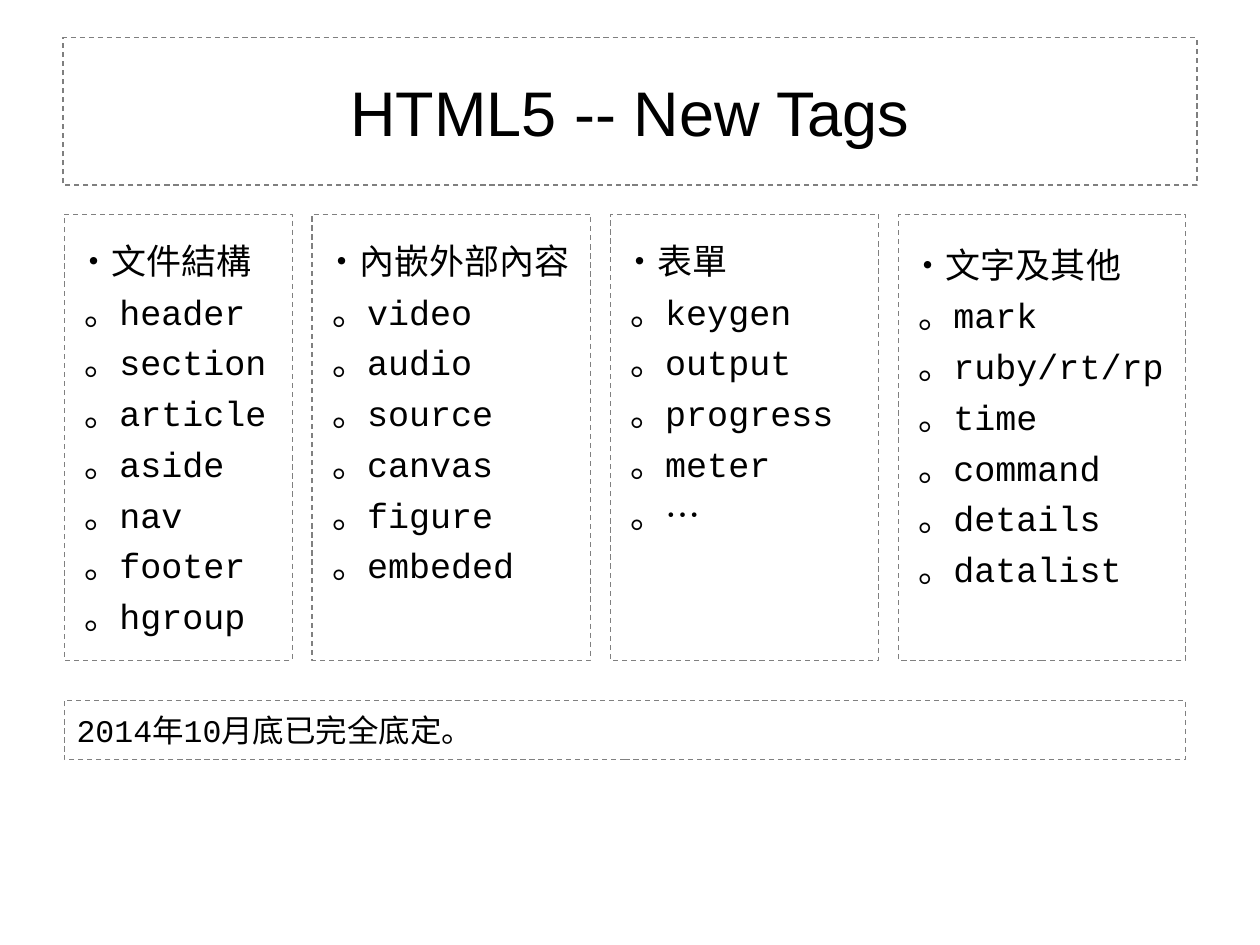
from pptx import Presentation
from pptx import util as u
from pptx.dml.color import RGBColor
from pptx.enum import dml, shapes, text

TITLE = "HTML5 -- New Tags"
# width, top inset, heading, tags
COLUMNS = [
    (1.81, 0.2, "文件結構",
     ["header", "section", "article", "aside", "nav", "footer", "hgroup"]),
    (2.21, 0.2, "內嵌外部內容",
     ["video", "audio", "source", "canvas", "figure", "embeded"]),
    (2.13, 0.2, "表單", ["keygen", "output", "progress", "meter", "…"]),
    (2.28, 0.23, "文字及其他",
     ["mark", "ruby/rt/rp", "time", "command", "details", "datalist"]),
]
FOOTNOTE = "2014年10月底已完全底定。"

LEFT, WIDTH = 0.51, 8.9
COLUMN_TOP, COLUMN_HEIGHT = 1.7, 3.54
TAG_INDENT = 0.06


def color(value):
    return RGBColor.from_string(value)


def add_box(page, left, top, width, height, line="808080"):
    """Add an unfilled rectangle with a dashed outline."""
    box = page.shapes.add_shape(
        shapes.MSO_SHAPE.RECTANGLE,
        *(u.Inches(n) for n in (left, top, width, height)))
    box.shadow.inherit = False
    box.fill.background()
    box.line.color.rgb = color(line)
    box.line.width = u.Pt(0.75)
    box.line.dash_style = dml.MSO_LINE.DASH
    return box


def write(box, lines, size, font="Courier New", align=text.PP_ALIGN.LEFT,
          anchor=text.MSO_ANCHOR.MIDDLE, space=0, indent=0, top=0.05, right=0.1):
    """Fill the box; lines after the first take the space before and the indent."""
    frame = box.text_frame
    frame.word_wrap = True
    frame.vertical_anchor = anchor
    frame.margin_top, frame.margin_right = u.Inches(top), u.Inches(right)
    for index, line in enumerate(lines):
        para = frame.add_paragraph() if index else frame.paragraphs[0]
        para.alignment = align
        if index:
            para.space_before = u.Pt(space)
            para._p.get_or_add_pPr().set("marL", str(u.Inches(indent)))
        span = para.add_run()
        span.text = line
        span.font.size = u.Pt(size)
        span.font.name = font
        span.font.color.rgb = color("000000")


def main():
    deck = Presentation()
    deck.slide_width, deck.slide_height = u.Inches(10), u.Inches(7.5)
    page = deck.slides.add_slide(deck.slide_layouts[6])

    title = add_box(page, 0.5, 0.3, 9, 1.17, line="7F7F7F")
    write(title, [TITLE], 36, font="Arial", align=text.PP_ALIGN.CENTER)

    gap = (WIDTH - sum(column[0] for column in COLUMNS)) / (len(COLUMNS) - 1)
    left = LEFT
    for width, inset, heading, tags in COLUMNS:
        box = add_box(page, left, COLUMN_TOP, width, COLUMN_HEIGHT)
        write(box, ["‧" + heading] + ["。" + tag for tag in tags], 20,
              anchor=text.MSO_ANCHOR.TOP, space=5, indent=TAG_INDENT,
              top=inset, right=0)
        left += width + gap

    footnote = add_box(page, LEFT, 5.56, WIDTH, 0.47)
    write(footnote, [FOOTNOTE], 18)

    deck.save("out.pptx")


if __name__ == "__main__":
    main()
